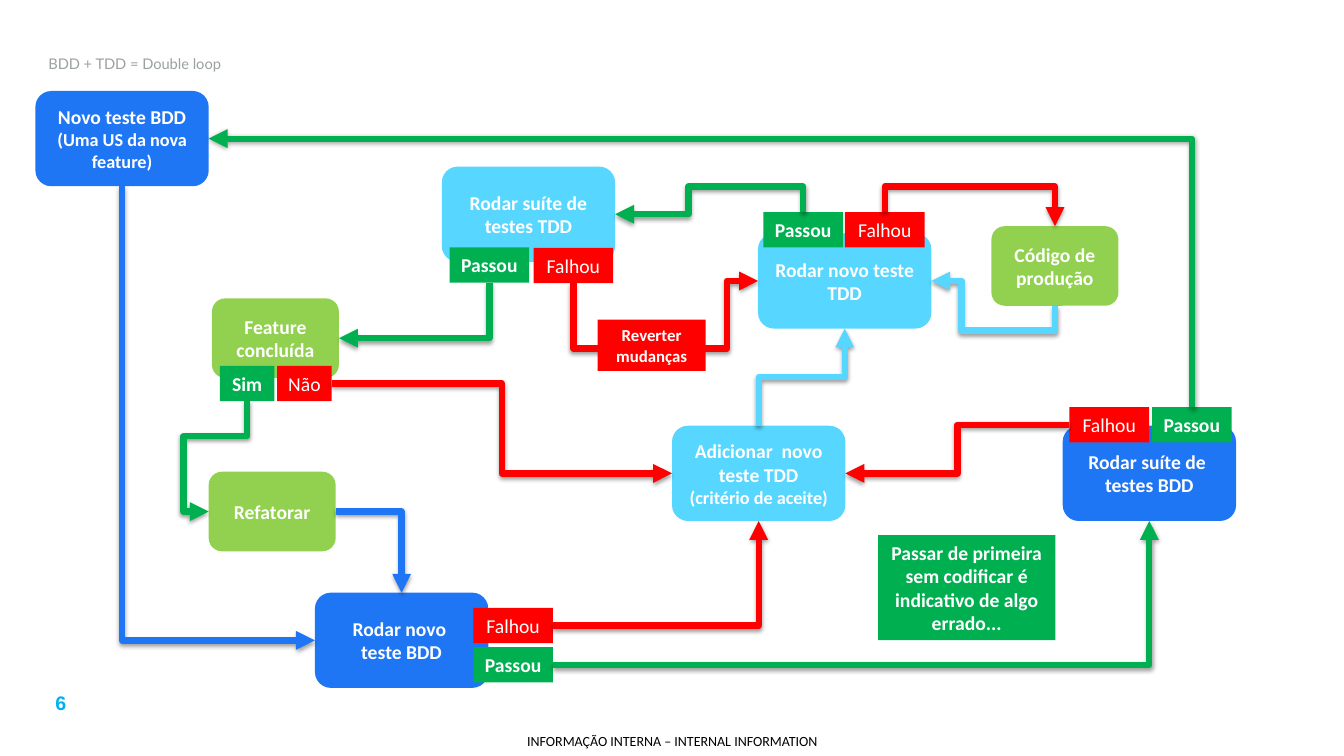
import pptx
import pptx.dml.color
import pptx.enum.shapes
import pptx.enum.text
import pptx.oxml
import pptx.oxml.ns
import pptx.util

COLORS = {"blue": "1F76F5", "sky": "57D7FF", "lime": "92D050", "red": "FF0000",
          "green": "00B050", "white": "FFFFFF", "black": "000000",
          "grey": "9BA0A0", "cyan": "00B0F0"}
WIDTH, HEIGHT = pptx.util.Inches(13.333), pptx.util.Inches(7.5)

# Sizes as percentages of the slide's width and height
NODE, STEP = (12.9, 12.6), (9.45, 10.53)
TAG, ANSWER = (5.93, 4.67), (4.05, 4.67)
TOP, LEFT, BOTTOM, RIGHT = range(4)
ROUNDED = pptx.enum.shapes.MSO_SHAPE.ROUNDED_RECTANGLE
SQUARE = pptx.enum.shapes.MSO_SHAPE.RECTANGLE
CENTER = pptx.enum.text.PP_ALIGN.CENTER

# Boxes: key, kind, colour, left, top, size, lines of (text, points)
NODES = [
    ("new_bdd", "blue", 2.63, 12.04, NODE,
     [("Novo teste BDD", 14), ("(Uma US da nova feature)", 13)]),
    ("run_bdd", "blue", 23.43, 78.4, NODE, [("Rodar novo ", 14), ("teste BDD", 14)]),
    ("suite_bdd", "blue", 79.07, 56.32, NODE,
     [("Rodar suíte de ", 14), ("testes BDD", 14)]),
    ("add_tdd", "sky", 50, 56.32, NODE,
     [("Adicionar  novo teste TDD", 14), ("(critério de aceite)", 13)]),
    ("run_tdd", "sky", 56.4, 30.87, NODE, [("Rodar novo teste TDD", 14)]),
    ("suite_tdd", "sky", 32.87, 22.04, NODE, [("Rodar suíte de testes TDD", 14)]),
    ("feature", "lime", 15.77, 39.47, STEP, [("Feature concluída", 14)]),
    ("refactor", "lime", 15.53, 62.4, STEP, [("Refatorar", 14)]),
    ("code", "lime", 73.77, 29.92, STEP, [("Código de produção", 14)]),
]

# Outcome tags: key, text, passed, left, top, size
TAGS = [
    ("run_bdd_fail", "Falhou", False, 35.22, 80.4, TAG),
    ("run_bdd_pass", "Passou", True, 35.22, 85.6, TAG),
    ("suite_bdd_fail", "Falhou", False, 79.57, 53.87, TAG),
    ("suite_bdd_pass", "Passou", True, 85.72, 53.87, TAG),
    ("suite_tdd_fail", "Falhou", False, 39.7, 32.8, TAG),
    ("suite_tdd_pass", "Passou", True, 33.45, 32.73, TAG),
    ("run_tdd_fail", "Falhou", False, 62.87, 28.05, TAG),
    ("run_tdd_pass", "Passou", True, 56.8, 28.05, TAG),
    ("feature_no", "Não", False, 20.63, 48.4, ANSWER),
    ("feature_yes", "Sim", True, 16.37, 48.4, ANSWER),
]

# Flows: colour, start box and side, end box and side, lanes between the ends
FLOWS = [
    ("blue", "new_bdd", BOTTOM, "run_bdd", LEFT, []),
    ("red", "run_bdd_fail", RIGHT, "add_tdd", BOTTOM, []),
    ("green", "run_bdd_pass", RIGHT, "suite_bdd", BOTTOM, []),
    ("red", "suite_bdd_fail", LEFT, "add_tdd", RIGHT, [71.23]),
    ("green", "suite_bdd_pass", TOP, "new_bdd", RIGHT, []),
    ("green", "run_tdd_pass", TOP, "suite_tdd", RIGHT, [24.67, 51.23]),
    ("red", "run_tdd_fail", TOP, "code", TOP, [24.67]),
    ("sky", "code", BOTTOM, "run_tdd", RIGHT, [43.73, 71.55]),
    ("red", "suite_tdd_fail", BOTTOM, "run_tdd", LEFT, [46.13, 54.08]),
    ("green", "suite_tdd_pass", BOTTOM, "feature", RIGHT, []),
    ("green", "feature_yes", BOTTOM, "refactor", LEFT, [57.73, 13.65]),
    ("red", "feature_no", RIGHT, "add_tdd", LEFT, [37.35]),
    ("sky", "add_tdd", TOP, "run_tdd", BOTTOM, [49.87]),
    ("blue", "refactor", RIGHT, "run_bdd", TOP, []),
]


def rgb(name):
    return pptx.dml.color.RGBColor.from_string(COLORS[name])


def area(left, top, width, height):
    return [int(share * side / 100) for share, side in
            zip((left, top, width, height), (WIDTH, HEIGHT, WIDTH, HEIGHT))]


def write(paragraph, text, size, color, font="Calibri", bold=False):
    run = paragraph.add_run()
    run.text = text
    run.font.name, run.font.size, run.font.bold = font, pptx.util.Pt(size), bold
    run.font.color.rgb = rgb(color)


def add_box(slide, outline, color, left, top, size, lines, bold=True):
    box = slide.shapes.add_shape(outline, *area(left, top, *size))
    box.shadow.inherit = False
    box.fill.solid()
    box.fill.fore_color.rgb = rgb(color)
    box.line.fill.background()
    box.text_frame.word_wrap = True
    paragraph = box.text_frame.paragraphs[0]
    paragraph.alignment = CENTER
    for index, (text, points) in enumerate(lines):
        if index:
            paragraph.add_line_break()
        write(paragraph, text, points, "white", bold=bold)
    return box


def add_caption(slide, place, text, size, color, font, bold=False, inset=0.0):
    caption = slide.shapes.add_textbox(*area(*place)).text_frame
    caption.word_wrap = True
    caption.margin_left = caption.margin_right = pptx.util.Inches(inset)
    caption.vertical_anchor = pptx.enum.text.MSO_ANCHOR.MIDDLE
    caption.paragraphs[0].alignment = CENTER
    write(caption.paragraphs[0], text, size, color, font, bold)


def bend(flow, vertical, lanes):
    """Turn an elbow so that it leaves along its first axis and follows the lanes."""
    start = (flow.begin_x, flow.begin_y)
    delta = (flow.end_x - flow.begin_x, flow.end_y - flow.begin_y)
    axes = (1, 0) if vertical else (0, 1)
    along, across = (delta[axis] for axis in axes)
    center = [s + d / 2 for s, d in zip(start, delta)]
    flow.width, flow.height = abs(along), abs(across)
    flow.left = int(center[0] - abs(along) / 2)
    flow.top = int(center[1] - abs(across) / 2)

    frame = flow._element.spPr.find(pptx.oxml.ns.qn("a:xfrm"))
    frame.set("rot", "5400000" if vertical else "0")
    frame.set("flipH", str(int(along < 0)))
    frame.set("flipV", str(int((across > 0) if vertical else (across < 0))))

    geometry = flow._element.spPr.find(pptx.oxml.ns.qn("a:prstGeom"))
    geometry.set("prst", f"bentConnector{len(lanes) + 2}")
    guides = geometry.find(pptx.oxml.ns.qn("a:avLst"))
    for number, (lane, axis) in enumerate(zip(lanes, axes), 1):
        position = lane * (WIDTH, HEIGHT)[axis] / 100
        ratio = round((position - start[axis]) / delta[axis] * 100000)
        guide = guides.makeelement(pptx.oxml.ns.qn("a:gd"), {
            "name": f"adj{number}", "fmla": f"val {ratio}"})
        guides.append(guide)


def add_flow(slide, boxes, color, source, source_side, target, target_side, lanes):
    flow = slide.shapes.add_connector(
        pptx.enum.shapes.MSO_CONNECTOR.ELBOW, 0, 0, 0, 0)
    flow.begin_connect(boxes[source], source_side)
    flow.end_connect(boxes[target], target_side)
    bend(flow, source_side in (TOP, BOTTOM), lanes)
    flow.line.width = pptx.util.Pt(4.5)
    flow.line.color.rgb = rgb(color)
    namespace = pptx.oxml.ns.nsdecls("a")
    flow.line._get_or_add_ln().append(
        pptx.oxml.parse_xml(f'<a:tailEnd {namespace} type="triangle"/>'))
    flow._element.spPr.append(pptx.oxml.parse_xml(
        f'<a:effectLst {namespace}><a:outerShdw blurRad="40000" dist="20000" '
        f'dir="5400000" rotWithShape="0"><a:srgbClr val="{COLORS["black"]}">'
        '<a:alpha val="38000"/></a:srgbClr></a:outerShdw></a:effectLst>'))


def add_title(slide, text):
    title = slide.shapes.title
    title.left, title.top, title.width, title.height = area(2.85, 5.07, 89.1, 6.67)
    title.text_frame.vertical_anchor = pptx.enum.text.MSO_ANCHOR.MIDDLE
    paragraph = title.text_frame.paragraphs[0]
    paragraph.alignment = pptx.enum.text.PP_ALIGN.LEFT
    write(paragraph, text, 10.5, "grey", "Lato")


def main():
    deck = pptx.Presentation()
    deck.slide_width, deck.slide_height = WIDTH, HEIGHT
    slide = deck.slides.add_slide(deck.slide_layouts[5])

    # Title, page number and footer
    add_title(slide, "BDD + TDD = Double loop")
    add_caption(slide, (1.57, 90.67, 5.93, 4.53), "6", 14, "cyan", "Arial", True, 0.1)
    add_caption(slide, (37.72, 96.13, 24.6, 3.87),
                "INFORMAÇÃO INTERNA – INTERNAL INFORMATION", 10, "black", "Calibri")

    # Activities with their outcome tags
    boxes = {}
    for key, color, left, top, size, lines in NODES:
        boxes[key] = add_box(slide, ROUNDED, color, left, top, size, lines)
    for key, text, passed, left, top, size in TAGS:
        boxes[key] = add_box(slide, SQUARE, "green" if passed else "red",
                             left, top, size, [(text, 14)], bold=passed)

    # Flows between them
    for flow in FLOWS:
        add_flow(slide, boxes, *flow)

    # Notes on top of the flows
    add_box(slide, SQUARE, "green", 65.33, 70.8, (13.2, 13.9),
            [("Passar de primeira sem codificar é indicativo de algo errado...", 14)])
    add_box(slide, SQUARE, "red", 44.47, 42.27, (8.03, 6.8), [("Reverter mudanças", 12)])

    deck.save("out.pptx")


if __name__ == "__main__":
    main()
